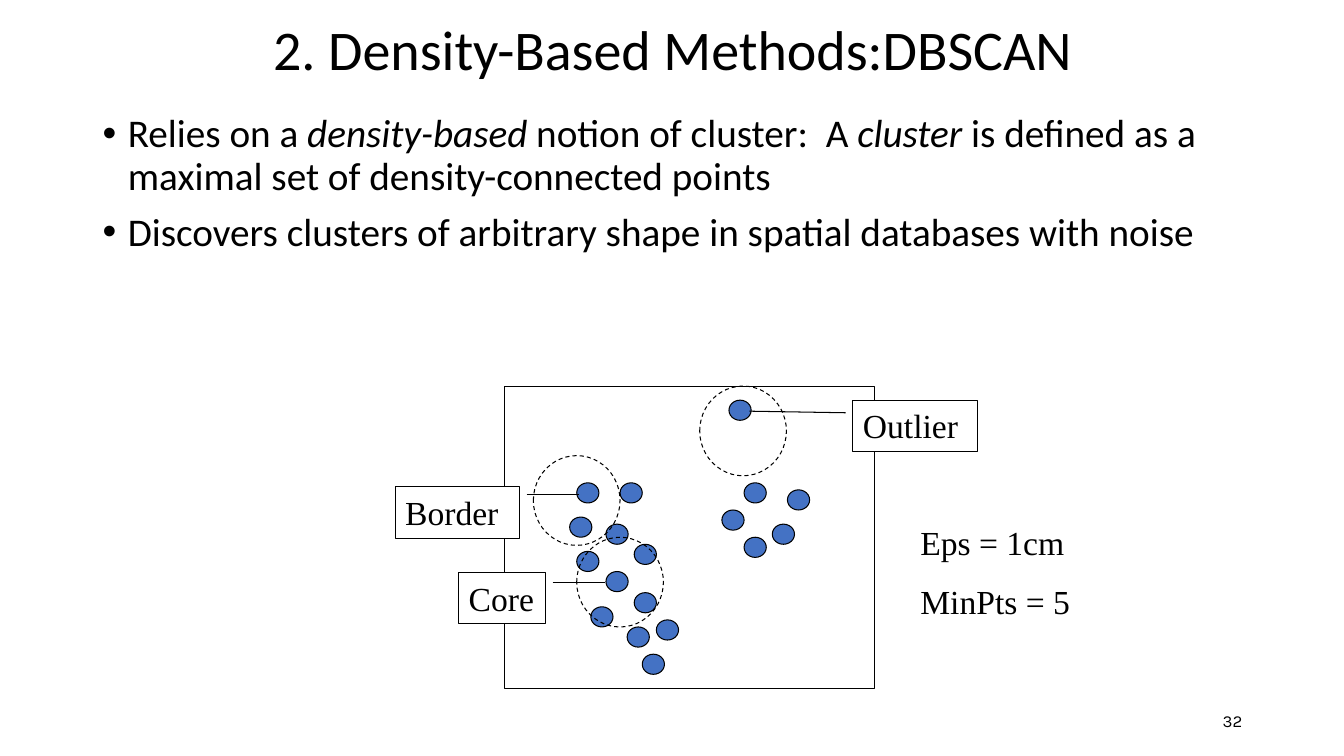
from lxml import etree
from pptx import Presentation
from pptx.dml.color import RGBColor
from pptx.enum.dml import MSO_LINE
from pptx.enum.shapes import MSO_SHAPE
from pptx.enum.text import MSO_ANCHOR, PP_ALIGN
from pptx.oxml.ns import qn
from pptx.util import Inches, Pt

OVAL, RECTANGLE, CALLOUT = MSO_SHAPE.OVAL, MSO_SHAPE.RECTANGLE, MSO_SHAPE.LINE_CALLOUT_1
TOP, MIDDLE = MSO_ANCHOR.TOP, MSO_ANCHOR.MIDDLE
LEFT, CENTER, RIGHT = PP_ALIGN.LEFT, PP_ALIGN.CENTER, PP_ALIGN.RIGHT
DASH = MSO_LINE.DASH

BLACK = RGBColor(0x00, 0x00, 0x00)
WHITE = RGBColor(0xFF, 0xFF, 0xFF)
BLUE = RGBColor(0x44, 0x72, 0xC4)

TITLE = "2. Density-Based Methods:DBSCAN"
PAGE_NUMBER = "32"
# Each paragraph is a list of (text, italic) spans.
BULLETS = [
    [("Relies on a ", False), ("density-based", True),
     (" notion of cluster:  A ", False), ("cluster", True),
     (" is defined as a maximal set of density-connected points", False)],
    [("Discovers clusters of arbitrary shape in spatial databases with noise", False)],
]
PARAMETERS = [[("Eps = 1cm", False)], [("MinPts = 5", False)]]

# Left and top of each data point, in inches.
POINT_SIZE = (0.22, 0.2)
LEFT_CLUSTER = [
    (5.72, 4.79), (5.65, 5.13), (6.01, 5.2), (6.15, 4.79), (6.29, 5.4), (5.72, 5.47),
    (6.01, 5.67), (5.86, 6.02), (6.22, 6.22), (6.37, 6.49), (6.29, 5.88),
]
OUTLIER = [(7.23, 3.97)]
RIGHT_CLUSTER = [(7.38, 4.79), (7.16, 5.06), (7.66, 5.2), (7.81, 4.86), (7.38, 5.33)]
LAST_POINT = (6.51, 6.15)

FRAME = (5, 3.83, 3.67, 3)
NEIGHBOURHOOD_SIZE = (0.86, 0.89)
NEIGHBOURHOODS = [(5.29, 4.52), (5.72, 5.33), (6.94, 3.83)]

# Label, box, and pointer ends as (y, x, y, x) shares of the box.
CALLOUTS = [
    ("Core", (4.55, 5.68, 0.86, 0.51), (0.188, 1.083, 0.188, 1.688)),
    ("Border", (3.92, 4.83, 1.23, 0.51), (0.145, 1.059, 0.145, 1.485)),
    ("Outlier", (8.46, 3.97, 1.24, 0.51), (0.245, -0.058, 0.214, -0.828)),
]

BODY_FONT = {"name": "Calibri", "size": Pt(28)}
TITLE_FONT = {"name": "Calibri", "size": Pt(40)}
DIAGRAM_FONT = {"name": "Times New Roman", "size": Pt(24)}
NUMBER_FONT = {"name": "Karla", "size": Pt(12)}


def add_bullet(para):
    properties = para._p.get_or_add_pPr()
    properties.set("marL", str(Inches(0.25)))
    properties.set("indent", str(-Inches(0.25)))
    etree.SubElement(properties, qn("a:buFont")).set("typeface", "Arial")
    etree.SubElement(properties, qn("a:buChar")).set("char", "•")


def write(frame, paragraphs, font, align=LEFT, anchor=TOP, line_spacing=1.0, gap=0, bullet=False):
    """Fill a text frame with paragraphs, leaving gap points between them."""
    frame.word_wrap = True
    frame.vertical_anchor = anchor
    for index, spans in enumerate(paragraphs):
        para = frame.add_paragraph() if index else frame.paragraphs[0]
        if bullet:
            add_bullet(para)
        para.alignment = align
        para.line_spacing = line_spacing
        if index:
            para.space_before = Pt(gap)
        for text, italic in spans:
            span = para.add_run()
            span.text = text
            for name, value in font.items():
                setattr(span.font, name, value)
            span.font.italic = italic
            span.font.color.rgb = BLACK


def add_text(page, box, paragraphs, font, **layout):
    textbox = page.shapes.add_textbox(*map(Inches, box))
    write(textbox.text_frame, paragraphs, font, **layout)


def add_outlined(page, kind, box, fill=None, dash=None):
    """Add a shape with a thin black outline and an optional solid fill."""
    shape = page.shapes.add_shape(kind, *map(Inches, box))
    shape.shadow.inherit = False
    if fill is None:
        shape.fill.background()
    else:
        shape.fill.solid()
        shape.fill.fore_color.rgb = fill
    shape.line.color.rgb = BLACK
    shape.line.width = Pt(0.75)
    if dash is not None:
        shape.line.dash_style = dash
    return shape


def add_diagram(page):
    for point in LEFT_CLUSTER + OUTLIER + RIGHT_CLUSTER:
        add_outlined(page, OVAL, point + POINT_SIZE, BLUE)
    add_outlined(page, RECTANGLE, FRAME)
    for corner in NEIGHBOURHOODS:
        add_outlined(page, OVAL, corner + NEIGHBOURHOOD_SIZE, dash=DASH)
    for label, box, pointer in CALLOUTS:
        callout = add_outlined(page, CALLOUT, box, WHITE)
        for index, share in enumerate(pointer):
            callout.adjustments[index] = share
        callout.text_frame.margin_right = 0
        write(callout.text_frame, [[(label, False)]], DIAGRAM_FONT)
    add_text(page, (9.03, 5.13, 1.8, 1.11), PARAMETERS, DIAGRAM_FONT, gap=13)
    add_outlined(page, OVAL, LAST_POINT + POINT_SIZE, BLUE)


def main():
    deck = Presentation()
    deck.slide_width, deck.slide_height = Inches(13.33), Inches(7.5)
    page = deck.slides.add_slide(deck.slide_layouts[6])
    add_text(page, (0.92, 1.08, 11.28, 6.09), BULLETS, BODY_FONT,
             line_spacing=0.9, gap=10, bullet=True)
    add_diagram(page)
    add_text(page, (9.42, 6.95, 3, 0.4), [[(PAGE_NUMBER, False)]], NUMBER_FONT,
             align=RIGHT, anchor=MIDDLE)
    add_text(page, (0.92, 0.13, 11.5, 0.78), [[(TITLE, False)]], TITLE_FONT,
             align=CENTER, anchor=MIDDLE, line_spacing=0.9)
    deck.save("out.pptx")


if __name__ == "__main__":
    main()
